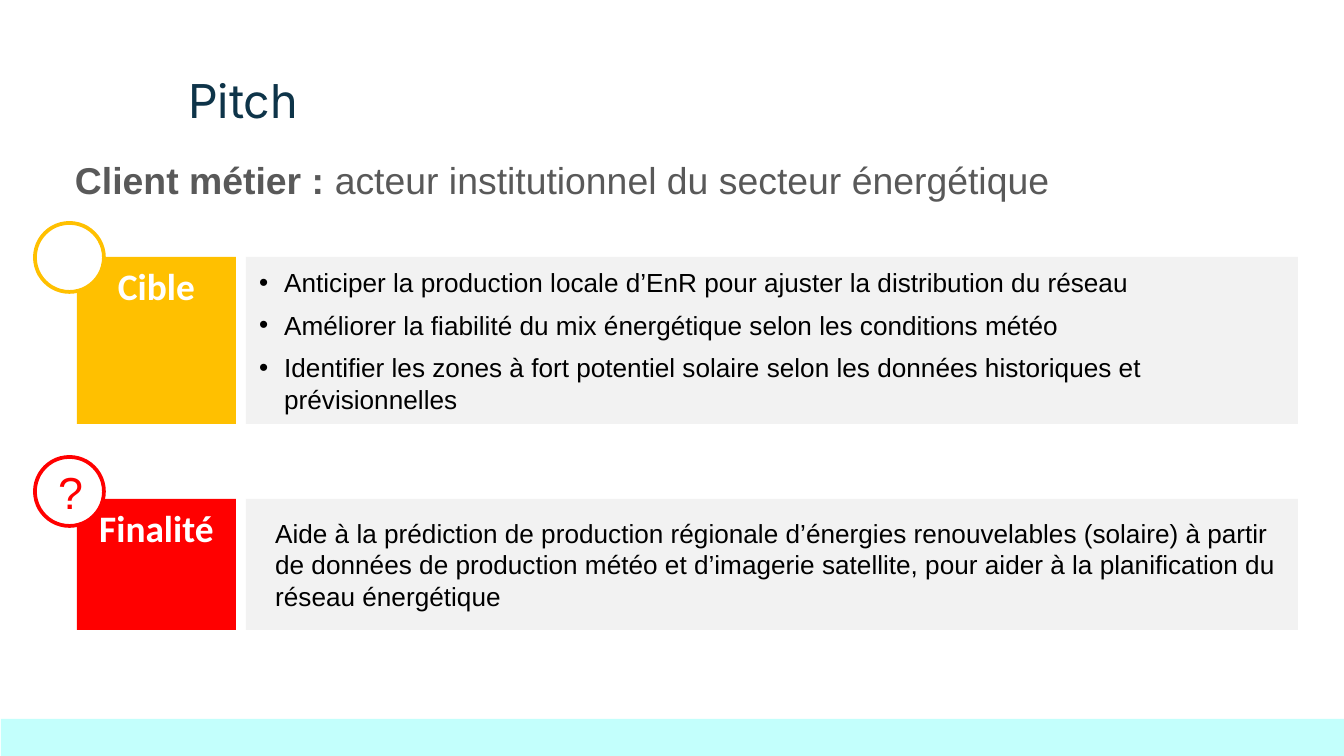
"""Build the "Pitch" slide: client heading and two labelled rows."""
from lxml import etree
from pptx import Presentation, util as u
from pptx.dml.color import RGBColor
from pptx.enum import shapes, text
from pptx.oxml.ns import qn

PX = 914400 / 134.4
NAVY = RGBColor(0x0E, 0x34, 0x49)
GRAY = RGBColor(0x59, 0x59, 0x59)
PALE = RGBColor(0xF2, 0xF2, 0xF2)
AQUA = RGBColor(0xC3, 0xFF, 0xFC)
AMBER = RGBColor(0xFF, 0xC0, 0x00)
RED = RGBColor(0xFF, 0x00, 0x00)
WHITE = RGBColor(0xFF, 0xFF, 0xFF)
BLACK = RGBColor(0x00, 0x00, 0x00)

TITLE = "Pitch"
CLIENT = [("Client métier : ", True),
          ("acteur institutionnel du secteur énergétique", False)]
ROWS = [
    dict(label="Cible", mark="", color=AMBER, top=257, height=167, badge_top=223,
         bulleted=True, lines=[
             "Anticiper la production locale d’EnR pour ajuster la distribution du réseau",
             "Améliorer la fiabilité du mix énergétique selon les conditions météo",
             "Identifier les zones à fort potentiel solaire selon les données "
             "historiques et prévisionnelles"]),
    dict(label="Finalité", mark="?", color=RED, top=499, height=131, badge_top=457,
         bulleted=False, lines=[
             "Aide à la prédiction de production régionale d’énergies renouvelables "
             "(solaire) à partir de données de production météo et d’imagerie satellite, "
             "pour aider à la planification du réseau énergétique"]),
]
LEFT, LABEL_W, GAP, RIGHT = 77, 159, 10, 1298
BADGE_LEFT, BADGE = 35, 69

TITLE_FONT = dict(name="Inter", size=u.Pt(25), bold=False)
CLIENT_FONT = dict(name="Arial", size=u.Pt(20))
LABEL_FONT = dict(name="Calibri", size=u.Pt(20), bold=True)
TEXT_FONT = dict(name="Arial", size=u.Pt(14))
MARK_FONT = dict(name="Arial", size=u.Pt(24))


def px(n):
    return u.Emu(round(n * PX))


def style(font, fmt, color):
    for key, value in fmt.items():
        setattr(font, key, value)
    font.color.rgb = color


def indent(p, margin, hanging=0, bullet=None):
    pPr = p._p.get_or_add_pPr()
    pPr.set("marL", str(px(margin)))
    pPr.set("indent", str(px(-hanging)))
    if bullet:
        etree.SubElement(pPr, qn("a:buFont")).set("typeface", "Arial")
        etree.SubElement(pPr, qn("a:buChar")).set("char", bullet)
    else:
        etree.SubElement(pPr, qn("a:buNone"))


def place(sp, x, y, w, h):
    sp.left, sp.top, sp.width, sp.height = map(px, (x, y, w, h))
    tf = sp.text_frame
    for side in ("left", "right", "top", "bottom"):
        setattr(tf, f"margin_{side}", px(13))
    tf.vertical_anchor = text.MSO_ANCHOR.TOP
    tf.auto_size = text.MSO_AUTO_SIZE.NONE
    return tf.paragraphs[0]


def add_shape(s, kind, box, fill, line=None):
    sp = s.shapes.add_shape(kind, *map(px, box))
    sp.shadow.inherit = False
    sp.fill.solid()
    sp.fill.fore_color.rgb = fill
    if line is None:
        sp.line.fill.background()
    else:
        sp.line.color.rgb = line
        sp.line.width = u.Pt(2)
    return sp


def write(sp, lines, fmt, color, align, anchor, layout=None):
    tf = sp.text_frame
    tf.word_wrap = True
    tf.vertical_anchor = anchor
    for i, line in enumerate(lines):
        p = tf.add_paragraph() if i else tf.paragraphs[0]
        p.alignment = align
        if i:
            p.space_before = u.Pt(6)
        if layout:
            indent(p, **layout)
        r = p.add_run()
        r.text = line
        style(r.font, fmt, color)


def add_row(s, row):
    rect = shapes.MSO_SHAPE.RECTANGLE
    top, height, color = row["top"], row["height"], row["color"]
    label = add_shape(s, rect, (LEFT, top, LABEL_W, height), color)
    write(label, [row["label"]], LABEL_FONT, WHITE,
          text.PP_ALIGN.CENTER, text.MSO_ANCHOR.TOP)
    x = LEFT + LABEL_W + GAP
    panel = add_shape(s, rect, (x, top, RIGHT - x, height), PALE)
    layout = dict(margin=25, hanging=25, bullet="•") if row["bulleted"] else dict(margin=16)
    write(panel, row["lines"], TEXT_FONT, BLACK,
          text.PP_ALIGN.LEFT, text.MSO_ANCHOR.MIDDLE, layout)
    badge = add_shape(s, shapes.MSO_SHAPE.OVAL,
                      (BADGE_LEFT, row["badge_top"], BADGE, BADGE), WHITE, color)
    if row["mark"]:
        write(badge, [row["mark"]], MARK_FONT, color,
              text.PP_ALIGN.CENTER, text.MSO_ANCHOR.MIDDLE)


def main():
    prs = Presentation()
    prs.slide_width, prs.slide_height = px(1344), px(756)
    s = prs.slides.add_slide(prs.slide_layouts[1])

    p = place(s.shapes.title, 175, 59, 781, 78)
    p.alignment = text.PP_ALIGN.LEFT
    r = p.add_run()
    r.text = TITLE
    style(r.font, TITLE_FONT, NAVY)

    p = place(s.placeholders[1], 46, 137, 1252, 67)
    p.space_before = u.Pt(0)
    p.line_spacing = 1.15
    indent(p, 16)
    for words, bold in CLIENT:
        r = p.add_run()
        r.text = words
        style(r.font, dict(CLIENT_FONT, bold=bold), GRAY)

    add_shape(s, shapes.MSO_SHAPE.RECTANGLE, (1, 719, 1344, 37), AQUA)
    for row in ROWS:
        add_row(s, row)
    prs.save("out.pptx")


if __name__ == "__main__":
    main()
